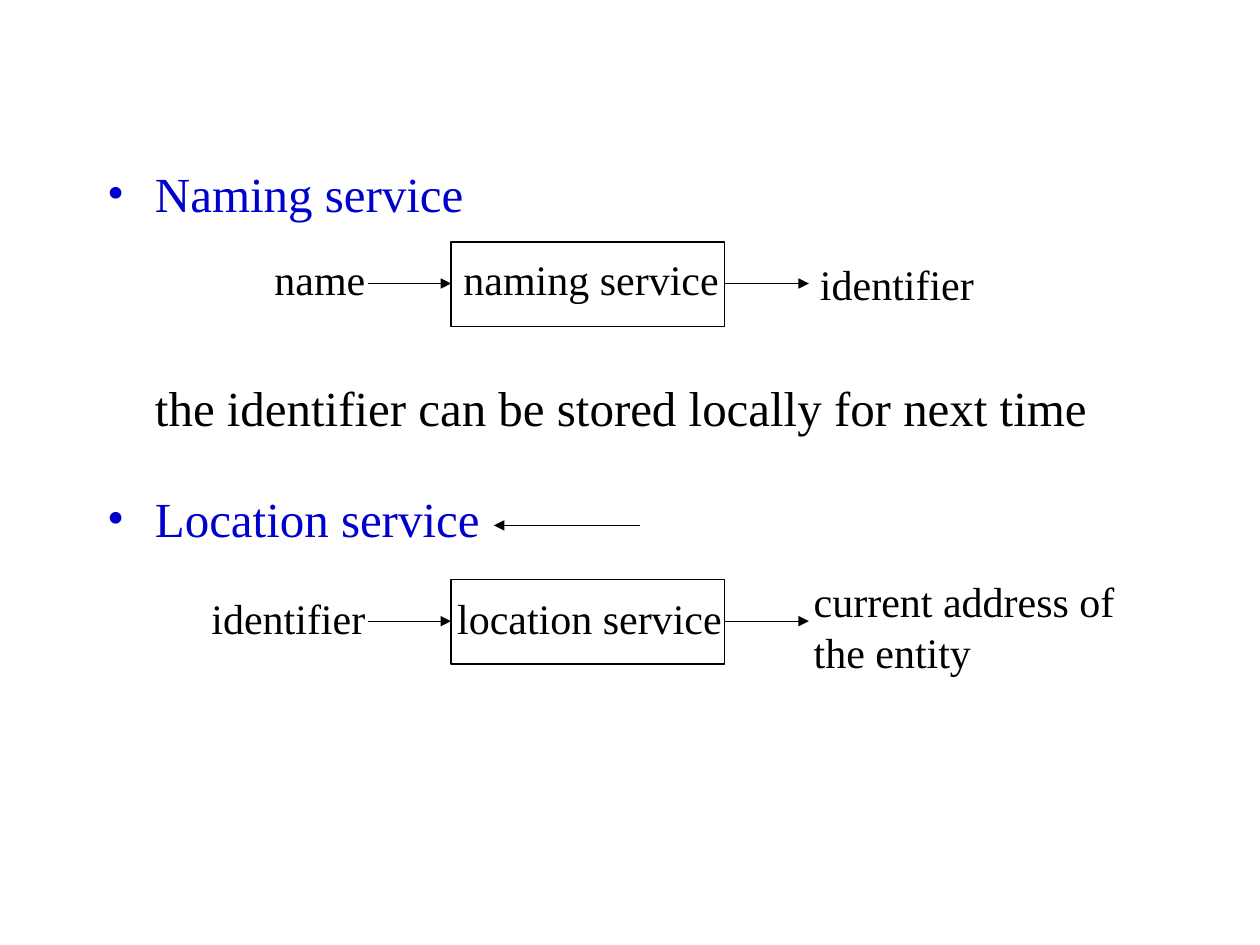
from lxml.etree import SubElement as Sub
from pptx import Presentation as Deck
from pptx.dml.color import RGBColor as Color
from pptx.enum.shapes import MSO_CONNECTOR as Link, MSO_SHAPE as Shape
from pptx.enum.text import MSO_ANCHOR as Anchor, MSO_AUTO_SIZE as Fit
from pptx.oxml.ns import qn
from pptx.util import Inches, Pt

BLACK = Color(0, 0, 0)
BLUE = Color(0, 0, 0xCC)


class Sketch:
    face = "Times New Roman"
    thin = Pt(0.75)

    def __init__(self, slide):
        self.slide = slide

    def style(self, para, size, color=BLACK):
        for run in para.runs:
            run.font.name = self.face
            run.font.size = Pt(size)
            run.font.color.rgb = color

    def body(self, items):
        title = self.slide.shapes.title.element
        title.getparent().remove(title)
        box = self.slide.placeholders[1]
        box.left, box.top = Inches(0.75), Inches(1.25)
        box.width, box.height = Inches(8.5), Inches(5.42)
        frame = box.text_frame
        frame.auto_size = Fit.NONE
        frame.vertical_anchor = Anchor.TOP
        frame.text = "\n".join(text for text, _, _ in items)
        for para, (_, color, gap) in zip(frame.paragraphs, items):
            self.mark(para, color)
            para.space_before = Pt(gap)
            self.style(para, 28, color)

    def mark(self, para, color):
        props = para._p.get_or_add_pPr()
        props.set("marL", str(Inches(0.38)))
        if color == BLACK:
            props.set("indent", "0")
            Sub(props, qn("a:buNone"))
            return
        props.set("indent", str(Inches(-0.38)))
        tint = Sub(props, qn("a:buClr"))
        Sub(tint, qn("a:srgbClr"), val=str(color))
        Sub(props, qn("a:buFont"), typeface=self.face)
        Sub(props, qn("a:buChar"), char="•")

    def label(self, text, left, top, width, height=0.5):
        box = self.slide.shapes.add_textbox(
            Inches(left), Inches(top), Inches(width), Inches(height))
        frame = box.text_frame
        frame.text = text
        frame.word_wrap = False
        frame.auto_size = Fit.SHAPE_TO_FIT_TEXT
        for para in frame.paragraphs:
            self.style(para, 24)

    def frame(self, left, top, width, height):
        box = self.slide.shapes.add_shape(
            Shape.RECTANGLE, Inches(left), Inches(top), Inches(width), Inches(height))
        box.shadow.inherit = False
        box.fill.background()
        box.line.color.rgb = BLACK
        box.line.width = self.thin

    def arrow(self, start, end, top):
        line = self.slide.shapes.add_connector(
            Link.STRAIGHT, Inches(start), Inches(top), Inches(end), Inches(top))
        line.line.color.rgb = BLACK
        line.line.width = self.thin
        Sub(line.line._get_or_add_ln(), qn("a:tailEnd"), type="triangle")
        Sub(line._element.spPr, qn("a:effectLst"))

    def flow(self, top, source, name, target):
        self.frame(3.58, top, 2.17, 0.67)
        self.label(*name)
        for start, end in ((2.92, 3.58), (5.75, 6.42)):
            self.arrow(start, end, top + 0.33)
        self.label(*source)
        self.label(*target)


def main():
    deck = Deck()
    deck.slide_width, deck.slide_height = Inches(10), Inches(7.5)
    sketch = Sketch(deck.slides.add_slide(deck.slide_layouts[1]))
    sketch.body([
        ("Naming service", BLUE, 0),
        ("the identifier can be stored locally for next time", BLACK, 88.5),
        ("Location service", BLUE, 30),
    ])
    sketch.flow(1.92, ("name", 2.08, 1.96, 0.93),
                ("naming service", 3.58, 1.96, 2.26),
                ("identifier", 6.41, 2, 1.43))
    sketch.flow(4.6, ("identifier", 1.58, 4.65, 1.43),
                ("location service", 3.53, 4.65, 2.32),
                ("current address of\nthe entity", 6.36, 4.52, 2.6, 0.9))
    sketch.arrow(5.08, 3.92, 4.17)
    deck.save("out.pptx")


if __name__ == "__main__":
    main()
